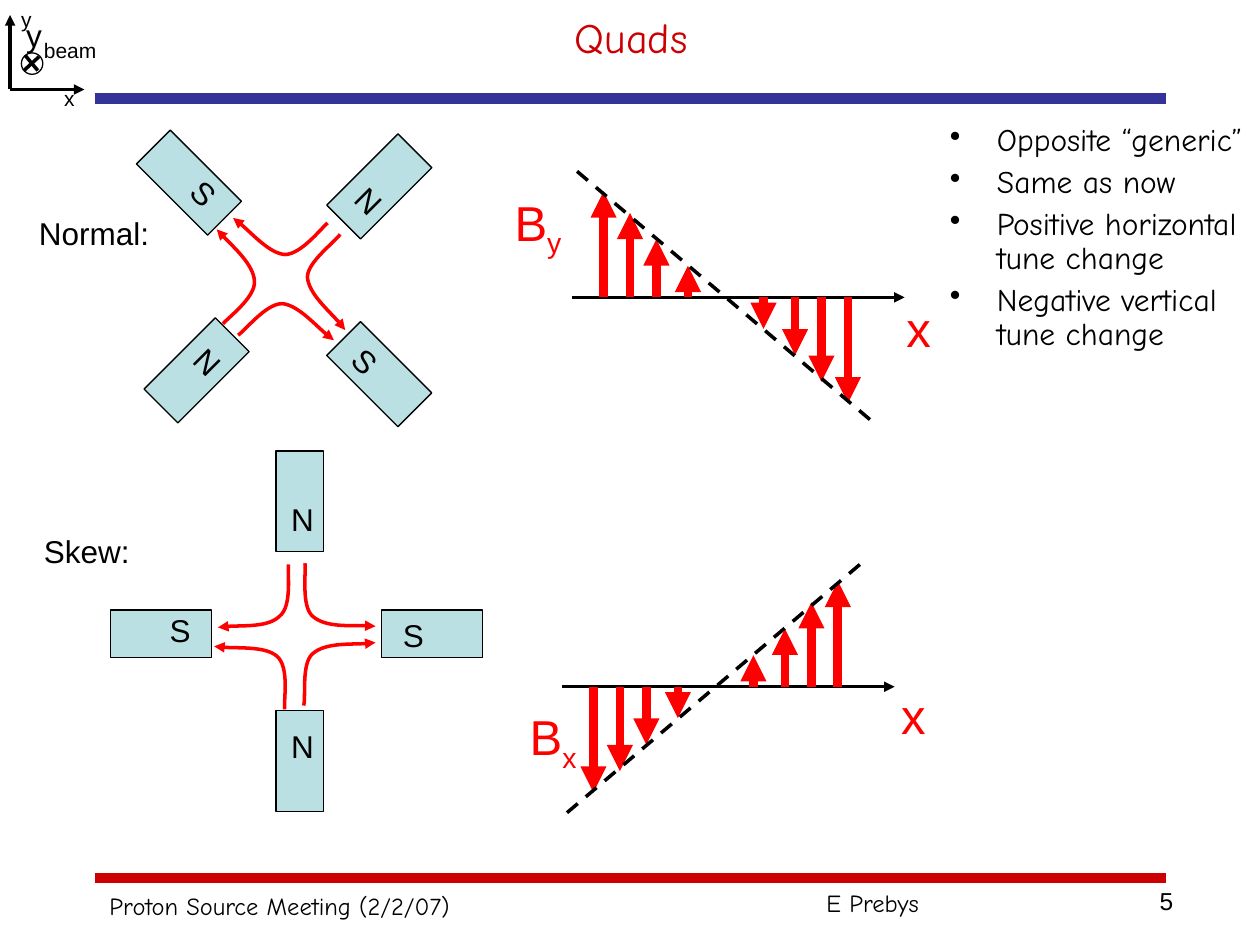
from dataclasses import dataclass
from lxml.etree import SubElement
from pptx import Presentation
from pptx.dml.color import RGBColor
from pptx.enum.dml import MSO_LINE
from pptx.enum.shapes import MSO_CONNECTOR, MSO_SHAPE
from pptx.enum.text import MSO_ANCHOR, MSO_AUTO_SIZE, PP_ALIGN as Align
from pptx.oxml.ns import qn
from pptx.util import Cm, Pt

BLACK, RED, CRIMSON, NAVY, STEEL = "000000", "FF0000", "CC0000", "333399", "BBE0E3"
SANS, COMIC = "Arial", "Comic Neue"
GRID_CM = 2.54
POLE_LENGTH, POLE_WIDTH = 0.8, 0.38
FIELD_ARROWS = ((0.97, 0.84), (0.76, 0.67), (0.55, 0.46), (0.3, 0.25))


@dataclass
class Label:
    text: str
    left: float
    top: float
    width: float
    height: float
    size: int = 18
    align: Align = Align.CENTER
    font: str = SANS
    color: str = BLACK
    subscript: str = ""
    turn: int = 0
    wrap: bool = True


@dataclass
class Pole:
    left: float
    top: float
    turn: int = 0


@dataclass
class FieldPlot:
    center: float
    axis: float
    direction: int


LABELS = (
    Label("Proton Source Meeting (2/2/07)", 0.77, 7.02, 2.92, 0.34, 14, Align.LEFT, COMIC, wrap=False),
    Label("E Prebys", 6.46, 7, 2.77, 0.34, 14, Align.LEFT, COMIC),
    Label("5", 7.08, 6.98, 2.33, 0.52, 14, Align.RIGHT),
    Label("y", 0.11, 0.08, 0.2, 0.4),
    Label("y", 0, 0, 0.42, 0.3, 12),
    Label("x", 0.34, 0.63, 0.42, 0.3, 12),
    Label("beam", 0.25, 0.25, 0.71, 0.3, 12, Align.LEFT),
    Label("Normal:", 0.21, 1.65, 1.18, 0.4, align=Align.LEFT),
    Label("Skew:", 0.25, 4.17, 1.09, 0.4, align=Align.LEFT),
    Label("B", 3.87, 1.48, 0.8, 0.63, 28, color=RED, subscript="y"),
    Label("B", 3.99, 5.56, 0.8, 0.63, 28, color=RED, subscript="x"),
    Label("x", 6.89, 2.32, 0.8, 0.57, 28, color=RED),
    Label("x", 6.85, 5.39, 0.8, 0.57, 28, color=RED),
    Label("N", 1.44, 2.67, 0.42, 0.4, turn=45),
    Label("N", 2.72, 1.39, 0.42, 0.4, turn=45),
    Label("S", 1.41, 1.33, 0.42, 0.4, turn=45),
    Label("S", 2.69, 2.67, 0.42, 0.4, turn=45),
    Label("N", 2.19, 5.72, 0.42, 0.4),
    Label("N", 2.19, 3.92, 0.42, 0.4),
    Label("S", 1.22, 4.8, 0.42, 0.4),
    Label("S", 3.07, 4.84, 0.42, 0.4),
)
POLES = (
    Pole(1.1, 1.26, 45), Pole(2.61, 1.29, 135), Pole(2.61, 2.78, 45), Pole(1.16, 2.75, 135),
    Pole(0.88, 4.84), Pole(1.98, 3.79, 90), Pole(3.03, 4.84), Pole(1.98, 5.85, 90),
)
FIELD_CURVES = (
    ((1.77, 2.57), (1.81, 2.52), (2.03, 2.36), (2.02, 2.23), (2.01, 2.1), (1.79, 1.9), (1.72, 1.82)),
    ((1.89, 2.66), (1.95, 2.62), (2.11, 2.41), (2.24, 2.41), (2.36, 2.42), (2.56, 2.64), (2.65, 2.7)),
    ((2.6, 1.77), (2.55, 1.81), (2.39, 2.02), (2.26, 2.02), (2.14, 2.01), (1.94, 1.79), (1.85, 1.73)),
    ((2.7, 1.86), (2.66, 1.92), (2.44, 2.08), (2.44, 2.2), (2.45, 2.33), (2.68, 2.53), (2.74, 2.62)),
    ((2.26, 5.63), (2.25, 5.56), (2.3, 5.3), (2.2, 5.21), (2.11, 5.13), (1.8, 5.15), (1.7, 5.13)),
    ((2.41, 5.6), (2.43, 5.53), (2.39, 5.27), (2.48, 5.19), (2.58, 5.1), (2.87, 5.12), (2.98, 5.1)),
    ((2.29, 4.48), (2.28, 4.55), (2.32, 4.81), (2.22, 4.89), (2.13, 4.98), (1.83, 4.96), (1.73, 4.98)),
    ((2.42, 4.47), (2.43, 4.54), (2.39, 4.81), (2.48, 4.89), (2.58, 4.98), (2.88, 4.96), (2.98, 4.97)),
)
PLOTS = (FieldPlot(5.76, 2.36, -1), FieldPlot(5.68, 5.45, 1))
BULLETS = ("Opposite “generic”", "Same as now", "Positive horizontal tune change", "Negative vertical tune change")


def lengths(*values: float) -> list:
    return [Cm(value * GRID_CM) for value in values]


def paint(fill, color: str) -> None:
    fill.solid()
    fill.fore_color.rgb = RGBColor.from_string(color)


def apply(target, values: dict) -> None:
    for name, value in values.items():
        setattr(target, name, value)


def add_span(para, text: str, size: int, font: str, color: str):
    span = para.add_run()
    span.text = text
    apply(span.font, {"size": Pt(size), "name": font, "bold": False})
    paint(span.font.fill, color)
    return span


def style_line(shape, color: str, width: float, arrow: bool = False, dash=None) -> None:
    paint(shape.line.fill, color)
    apply(shape.line, {"width": Pt(width), "dash_style": dash})
    if arrow:
        SubElement(shape.line._get_or_add_ln(), qn("a:tailEnd"), type="triangle")


def draw_line(page, start, end, color: str = BLACK, width: float = 0, arrow: bool = False, dash=None) -> None:
    line = page.shapes.add_connector(MSO_CONNECTOR.STRAIGHT, *lengths(*start, *end))
    style_line(line, color, width, arrow, dash)
    SubElement(line._element.spPr, qn("a:effectLst"))


def draw_label(page, label: Label) -> None:
    box = page.shapes.add_textbox(*lengths(label.left, label.top, label.width, label.height))
    box.rotation = label.turn
    box.text_frame.word_wrap = label.wrap
    para = box.text_frame.paragraphs[0]
    para.alignment = label.align
    look = (label.size, label.font, label.color)
    add_span(para, label.text, *look)
    if label.subscript:
        span = add_span(para, label.subscript, *look)
        span.font._element.set("baseline", "-25000")


def draw_pole(page, pole: Pole) -> None:
    shape = page.shapes.add_shape(MSO_SHAPE.RECTANGLE, *lengths(pole.left, pole.top, POLE_LENGTH, POLE_WIDTH))
    shape.shadow.inherit = False
    shape.rotation = pole.turn
    paint(shape.fill, STEEL)
    style_line(shape, BLACK, 0)


def draw_curve(page, points) -> None:
    start, *rest = [lengths(*point) for point in points]
    builder = page.shapes.build_freeform(*start)
    builder.add_line_segments(rest, close=False)
    curve = builder.convert_to_shape()
    curve.shadow.inherit = False
    curve.fill.background()
    outline = curve._element.find(".//" + qn("a:path"))
    segments = outline.findall(qn("a:lnTo"))
    for first in range(0, len(segments), 3):
        bend = SubElement(outline, qn("a:cubicBezTo"))
        for segment in segments[first:first + 3]:
            bend.append(segment[0])
            outline.remove(segment)
    style_line(curve, RED, 2, arrow=True)


def draw_plot(page, plot: FieldPlot) -> None:
    center, axis = plot.center, plot.axis
    draw_line(page, (center - 1.22, axis), (center + 1.42, axis), arrow=True)
    for side in (-1, 1):
        for offset, height in FIELD_ARROWS:
            x = center + side * offset
            tip = axis - side * plot.direction * height
            draw_line(page, (x, axis), (x, tip), RED, 5, arrow=True)
    draw_line(page, (center - 1.18, axis + plot.direction), (center + 1.18, axis - plot.direction), dash=MSO_LINE.DASH)


def draw_beam_axes(page) -> None:
    for tip in ((0.67, 0.71), (0.08, 0.12)):
        draw_line(page, (0.08, 0.71), tip, arrow=True)
    circle = page.shapes.add_shape(MSO_SHAPE.OVAL, *lengths(0.17, 0.42, 0.17, 0.17))
    circle.shadow.inherit = False
    circle.fill.background()
    style_line(circle, BLACK, 0)
    draw_line(page, (0.2, 0.44), (0.3, 0.56))
    draw_line(page, (0.19, 0.56), (0.31, 0.45))


def draw_bullets(page) -> None:
    frame = page.shapes.add_textbox(*lengths(7.44, 0.94, 2.56, 2.94)).text_frame
    frame.word_wrap = True
    indent = Cm(0.95)
    for index, text in enumerate(BULLETS):
        para = frame.add_paragraph() if index else frame.paragraphs[0]
        properties = para._p.get_or_add_pPr()
        properties.set("marL", str(indent))
        properties.set("indent", str(-indent))
        SubElement(SubElement(properties, qn("a:buClr")), qn("a:srgbClr"), val=BLACK)
        SubElement(properties, qn("a:buChar"), char="•")
        apply(para, {"line_spacing": 0.9, "space_before": Pt(4.5 if index else 0)})
        add_span(para, text, 18, COMIC, BLACK)


def draw_title(page) -> None:
    title = page.shapes.title
    apply(title, dict(zip(("left", "top", "width", "height"), lengths(0.76, 0, 8.5, 0.58))))
    apply(title.text_frame, {"auto_size": MSO_AUTO_SIZE.NONE, "vertical_anchor": MSO_ANCHOR.MIDDLE})
    para = title.text_frame.paragraphs[0]
    para.alignment = Align.CENTER
    add_span(para, "Quads", 24, COMIC, CRIMSON)


def main() -> None:
    deck = Presentation()
    apply(deck, {"slide_width": Cm(25.4), "slide_height": Cm(19.05)})
    page = deck.slides.add_slide(deck.slide_layouts[5])
    for y, color in ((6.97, CRIMSON), (0.78, NAVY)):
        draw_line(page, (0.75, y), (9.25, y), color, 6)
    draw_title(page)
    draw_beam_axes(page)
    for draw, items in ((draw_plot, PLOTS), (draw_pole, POLES), (draw_curve, FIELD_CURVES), (draw_label, LABELS)):
        for item in items:
            draw(page, item)
    draw_bullets(page)
    deck.save("out.pptx")


if __name__ == "__main__":
    main()
